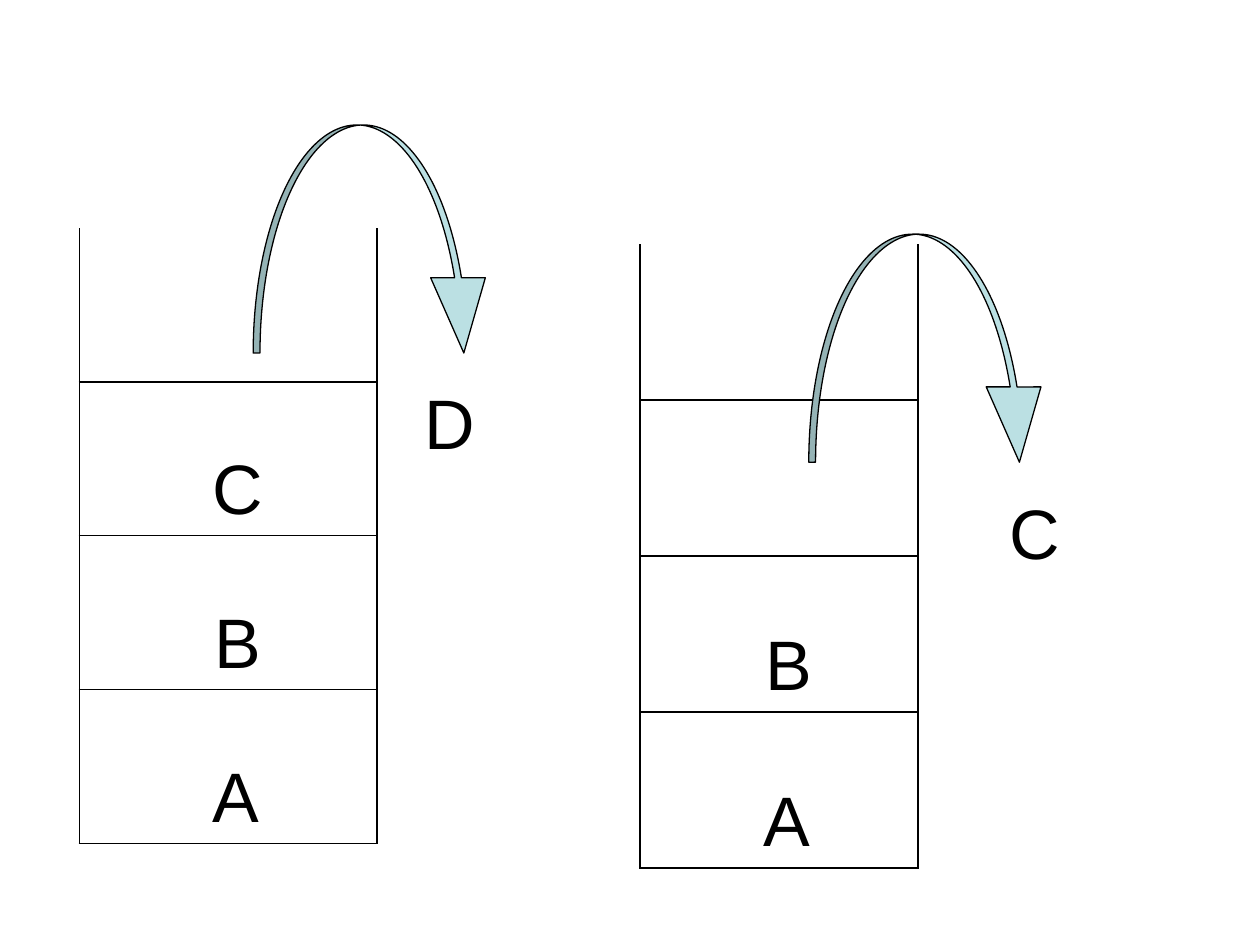
from lxml.etree import SubElement
from pptx import Presentation
from pptx.dml.color import RGBColor
from pptx.enum.shapes import MSO_SHAPE
from pptx.enum.text import MSO_ANCHOR, PP_ALIGN
from pptx.oxml.ns import qn
from pptx.util import Pt

BLACK = RGBColor(0x00, 0x00, 0x00)
PALE_TEAL = RGBColor(0xBB, 0xE0, 0xE3)
LETTER_FORMAT = {"name": "Arial", "size": Pt(40)}
CELL_FORMAT = {
    "margin_left": Pt(7.2),
    "margin_right": Pt(7.2),
    "margin_top": Pt(3.6),
    "margin_bottom": Pt(3.6),
    "vertical_anchor": MSO_ANCHOR.BOTTOM,
}
ARROW_ADJUSTMENTS = [0.03, 0.24, 0.33]
ARROW_WIDTH, ARROW_HEIGHT = 136, 130.3
LETTER_DROP = 141.8

STACKS = [
    {"left": 45.4, "top": 130.4, "width": 170, "row_height": 87.9,
     "items": ["", " C", " B", " A"],
     "arrow_left": 144.7, "arrow_top": 71.4, "popped": "D", "popped_shift": 90.7},
    {"left": 365.8, "top": 139.6, "width": 158.8, "row_height": 89.1,
     "items": ["", "", " B", " A"],
     "arrow_left": 462.2, "arrow_top": 133.8, "popped": "C", "popped_shift": 107.3},
]


def write_letter(paragraph, text):
    paragraph.text = text
    for name, value in LETTER_FORMAT.items():
        setattr(paragraph.font, name, value)
    paragraph.font.color.rgb = BLACK


def draw_borders(cell, open_top):
    properties = cell._tc.get_or_add_tcPr()
    for position, side in enumerate(["lnL", "lnR", "lnT", "lnB"]):
        border = SubElement(properties, qn("a:" + side), w=str(Pt(0.96)))
        properties.insert(position, border)
        if side == "lnT" and open_top:
            SubElement(border, qn("a:noFill"))
        else:
            fill = SubElement(border, qn("a:solidFill"))
            SubElement(fill, qn("a:srgbClr"), val=str(BLACK))


presentation = Presentation()
presentation.slide_width, presentation.slide_height = Pt(720), Pt(540)
slide = presentation.slides.add_slide(presentation.slide_layouts[6])

for stack in STACKS:
    items = stack["items"]
    table = slide.shapes.add_table(
        len(items), 1, Pt(stack["left"]), Pt(stack["top"]),
        Pt(stack["width"]), Pt(stack["row_height"] * len(items))).table
    table.first_row = False
    table.horz_banding = False
    for index, item in enumerate(items):
        table.rows[index].height = Pt(stack["row_height"])
        cell = table.cell(index, 0)
        cell.fill.background()
        for name, value in CELL_FORMAT.items():
            setattr(cell, name, value)
        draw_borders(cell, open_top=index == 0)
        if item:
            paragraph = cell.text_frame.paragraphs[0]
            paragraph.alignment = PP_ALIGN.CENTER
            indents = paragraph._p.get_or_add_pPr()
            indents.set("marL", str(Pt(27)))
            indents.set("indent", str(Pt(-27)))
            write_letter(paragraph, item)

    arrow = slide.shapes.add_shape(
        MSO_SHAPE.CURVED_DOWN_ARROW, Pt(stack["arrow_left"]), Pt(stack["arrow_top"]),
        Pt(ARROW_WIDTH), Pt(ARROW_HEIGHT))
    for index, value in enumerate(ARROW_ADJUSTMENTS):
        arrow.adjustments[index] = value
    arrow.shadow.inherit = False
    arrow.fill.solid()
    arrow.fill.fore_color.rgb = PALE_TEAL
    arrow.line.color.rgb = BLACK
    arrow.line.width = Pt(0.75)

    popped = slide.shapes.add_textbox(
        Pt(stack["arrow_left"] + stack["popped_shift"]),
        Pt(stack["arrow_top"] + LETTER_DROP), Pt(56.9), Pt(55.4))
    popped.text_frame.word_wrap = True
    popped.text_frame.vertical_anchor = MSO_ANCHOR.BOTTOM
    write_letter(popped.text_frame.paragraphs[0], stack["popped"])

presentation.save("out.pptx")
